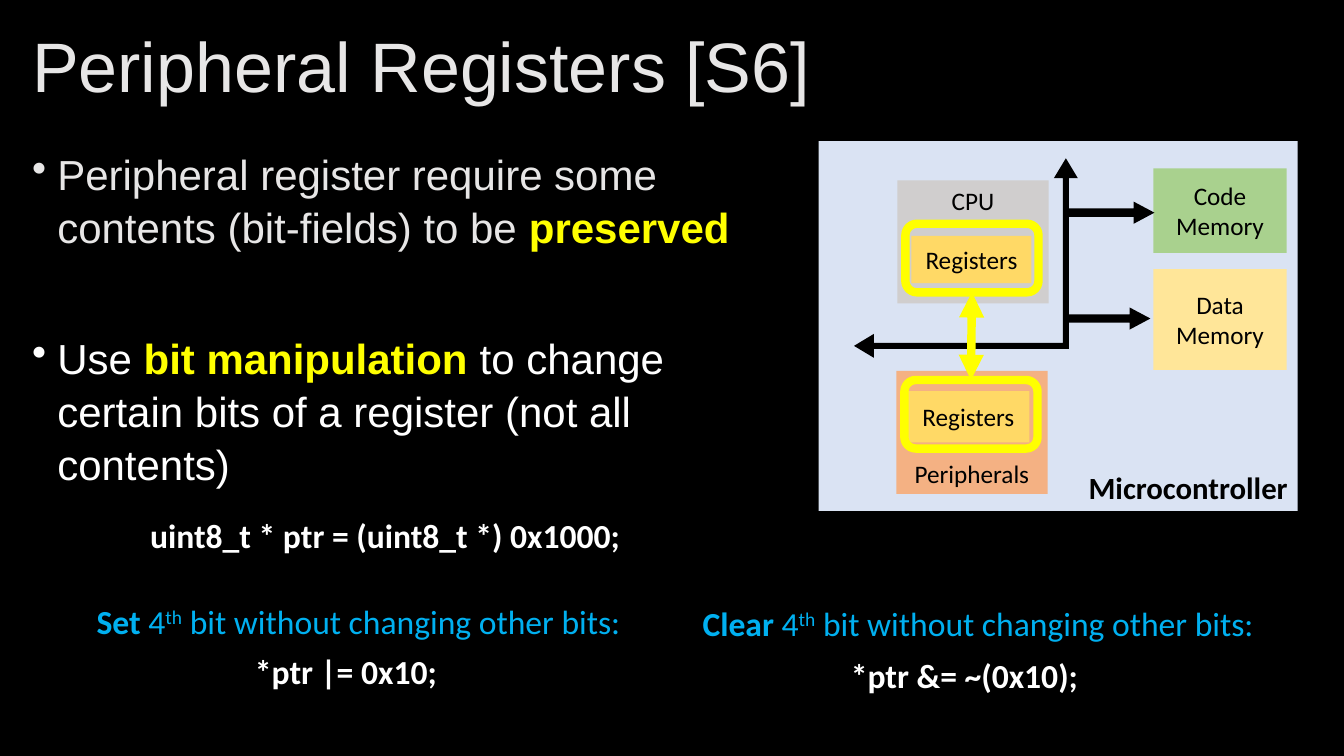
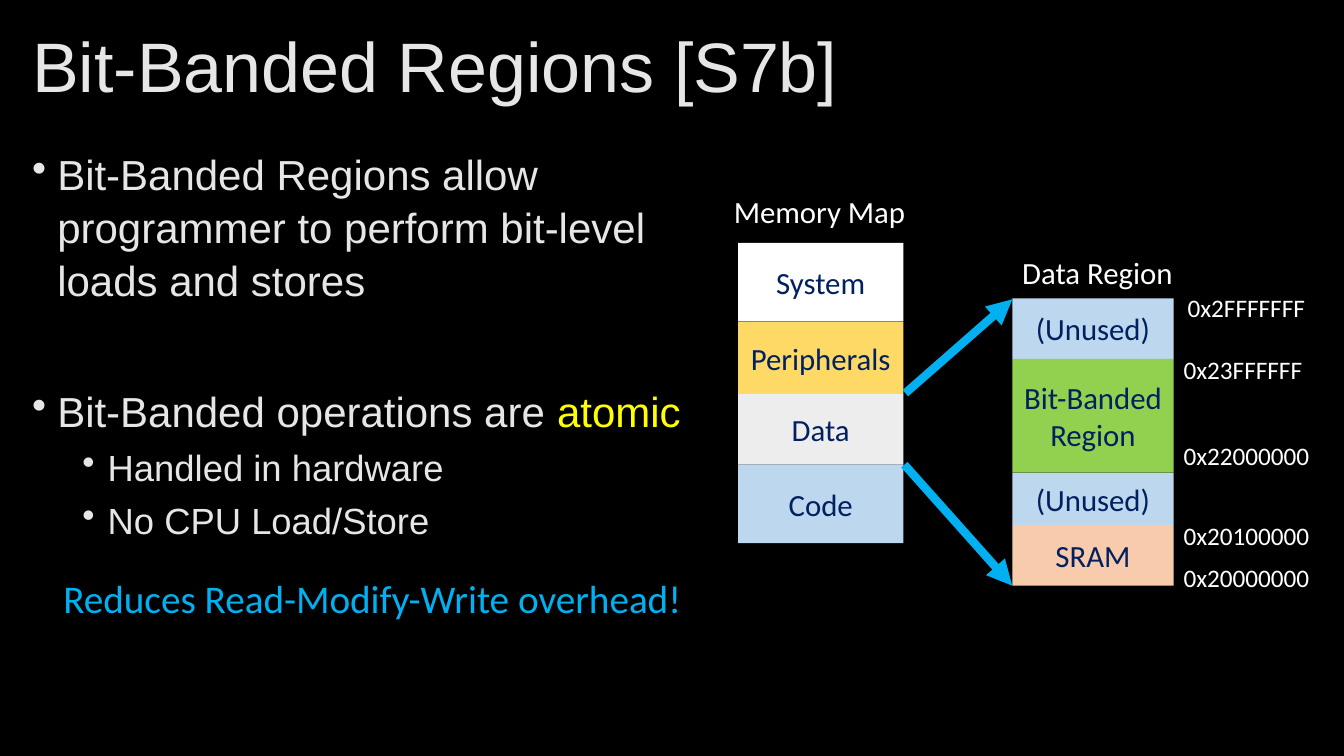
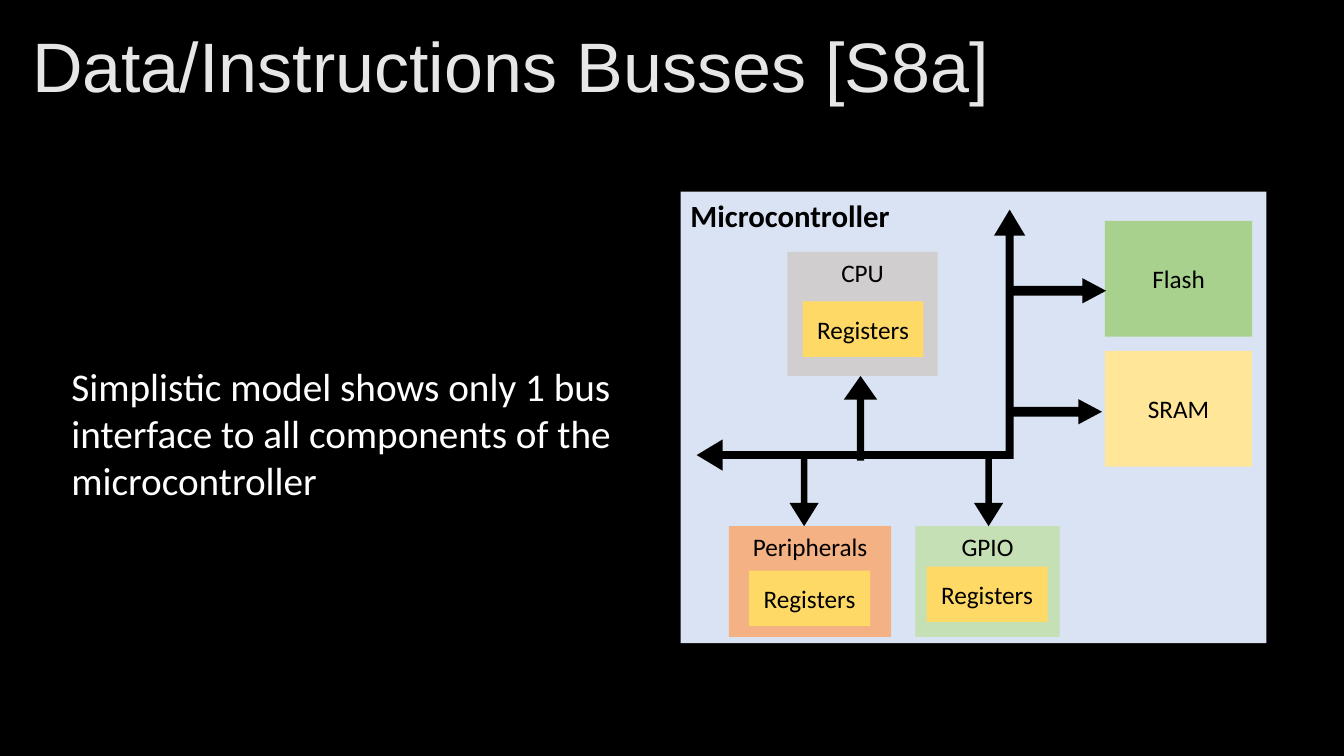
"""Build three slides on registers, bit-banding and microcontroller busses."""
import pptx
import pptx.dml.color
import pptx.enum.shapes
import pptx.enum.text
import pptx.oxml
import pptx.oxml.ns
import pptx.util

Pt = pptx.util.Pt
RGBColor = pptx.dml.color.RGBColor
SHAPE = pptx.enum.shapes.MSO_SHAPE
CONNECTOR = pptx.enum.shapes.MSO_CONNECTOR
TOP, MIDDLE, BOTTOM = (pptx.enum.text.MSO_ANCHOR.TOP, pptx.enum.text.MSO_ANCHOR.MIDDLE,
                       pptx.enum.text.MSO_ANCHOR.BOTTOM)
LEFT, CENTER, RIGHT = (pptx.enum.text.PP_ALIGN.LEFT, pptx.enum.text.PP_ALIGN.CENTER,
                       pptx.enum.text.PP_ALIGN.RIGHT)

BLACK = RGBColor(0x00, 0x00, 0x00)
WHITE = RGBColor(0xFF, 0xFF, 0xFF)
SILVER = RGBColor(0xE7, 0xE6, 0xE6)
YELLOW = RGBColor(0xFF, 0xFF, 0x00)
CYAN = RGBColor(0x00, 0xB0, 0xF0)
NAVY = RGBColor(0x00, 0x20, 0x60)
ICE = RGBColor(0xDA, 0xE3, 0xF3)
SKY = RGBColor(0xBD, 0xD7, 0xEE)
GREEN = RGBColor(0xA9, 0xD1, 0x8E)
LIME = RGBColor(0x92, 0xD0, 0x50)
MINT = RGBColor(0xC5, 0xE0, 0xB4)
GRAY = RGBColor(0xD0, 0xCE, 0xCE)
PALE_GRAY = RGBColor(0xED, 0xED, 0xED)
ORANGE = RGBColor(0xF4, 0xB1, 0x83)
PEACH = RGBColor(0xF8, 0xCB, 0xAD)
SAND = RGBColor(0xFF, 0xE6, 0x99)
GOLD = RGBColor(0xFF, 0xD9, 0x66)

deck = pptx.Presentation()
deck.slide_width = pptx.util.Inches(13.33)
deck.slide_height = pptx.util.Inches(7.5)
COLUMN = deck.slide_width / 13.33
ROW = deck.slide_height / 7.5

TITLE = {"size": Pt(50), "name": "Arial", "color": SILVER}
BODY = {"size": Pt(30), "name": "Arial", "color": SILVER}
DETAIL = {**BODY, "size": Pt(26)}
LABEL = {"size": Pt(18), "name": "Calibri", "color": BLACK}
HEADING = {**LABEL, "size": Pt(22), "bold": True}
REGION = {**LABEL, "size": Pt(22), "color": NAVY}
CAPTION = {**REGION, "color": WHITE}
ADDRESS = {**LABEL, "color": WHITE}
CODE = {**LABEL, "size": Pt(24), "bold": True, "color": WHITE}
TASK = {**LABEL, "size": Pt(24), "color": CYAN}
REMARK = {**LABEL, "size": Pt(28), "color": WHITE}


def add_box(page, area, spans=(), style=LABEL, fill=None, kind=None, anchor=MIDDLE,
            align=CENTER, wrap=True, turn=0, adjust=()):
    left, top, width, height = area
    place = [round(left * COLUMN), round(top * ROW), round(width * COLUMN), round(height * ROW)]
    if kind is None:
        box = page.shapes.add_textbox(*place)
    else:
        box = page.shapes.add_shape(kind, *place)
        box.shadow.inherit = False
        box.line.fill.background()
        box.fill.background()
    if fill is not None:
        box.fill.solid()
        box.fill.fore_color.rgb = fill
    box.rotation = turn
    for index, share in enumerate(adjust):
        box.adjustments[index] = share
    box.text_frame.word_wrap = wrap
    box.text_frame.vertical_anchor = anchor
    if spans:
        add_spans(box.text_frame.paragraphs[0], spans, style, align)
    return box


def add_spans(para, spans, style, align=LEFT):
    para.alignment = align
    for text, changes in [(spans, {})] if isinstance(spans, str) else spans:
        span = para.add_run()
        span.text = text
        for name, value in {**style, **changes}.items():
            if name == "color":
                span.font.color.rgb = value
            elif name == "baseline":
                span.font._element.set(name, value)
            else:
                setattr(span.font, name, value)


deck.slide_master.background.fill.solid()
deck.slide_master.background.fill.fore_color.rgb = BLACK

titles = ["Peripheral Registers [S6]", "Bit-Banded Regions [S7b]", "Data/Instructions Busses [S8a]"]
pages = []
for title in titles:
    page = deck.slides.add_slide(deck.slide_layouts[6])
    heading = add_box(page, (0.22, 0.21, 12.89, 0.97), title, TITLE, align=LEFT)
    heading.text_frame.paragraphs[0].line_spacing = 0.9
    pages.append(page)
registers_page, regions_page, busses_page = pages

bullet_lists = [
    (registers_page, 7.16, 3.41, [
        (BODY, 0.25, 10, [("Peripheral register require some contents (bit-fields) to be ", {}),
                          ("preserved", {"color": YELLOW, "bold": True})]),
        (BODY, 0.25, 56, [("Use ", {"color": WHITE}),
                          ("bit manipulation ", {"color": YELLOW, "bold": True}),
                          ("to change certain bits of a register (not all contents)",
                           {"color": WHITE})])]),
    (regions_page, 7.3, 6.09, [
        (BODY, 0.25, 10, "Bit-Banded Regions allow programmer to perform bit-level loads and stores"),
        (BODY, 0.25, 56, [("Bit-Banded operations are ", {}), ("atomic", {"color": YELLOW})]),
        (DETAIL, 0.75, 5, "Handled in hardware"),
        (DETAIL, 0.75, 5, "No CPU Load/Store")]),
]
for page, width, height, bullets in bullet_lists:
    frame = add_box(page, (0.22, 1.4, width, height), anchor=TOP).text_frame
    for index, (style, indent, gap, spans) in enumerate(bullets):
        para = frame.add_paragraph() if index else frame.paragraphs[0]
        add_spans(para, spans, style)
        para.line_spacing = 1.05
        para.space_before = Pt(gap)
        properties = para._p.get_or_add_pPr()
        properties.set("marL", str(round(indent * COLUMN)))
        properties.set("indent", str(round(-0.25 * COLUMN)))
        mark = pptx.oxml.parse_xml(f'<a:buChar {pptx.oxml.ns.nsdecls("a")} char="•"/>')
        properties.append(mark)

BUS, BRANCH = (0.03, 0.06, 0.1), (0.38, 0.94)
DROP = (0.22, 0.8)
diagrams = [
    (registers_page, (8.12, 1.4, 4.75, 3.67), BOTTOM, RIGHT, [
        ((11.44, 1.67, 1.32, 0.84), "Code Memory", GREEN, MIDDLE),
        ((8.9, 1.79, 1.5, 1.22), "CPU", GRAY, TOP),
        ((8.89, 3.68, 1.5, 1.22), "Peripherals", ORANGE, BOTTOM),
        ((11.44, 2.67, 1.32, 1), "Data Memory", SAND, MIDDLE),
        ((9.04, 2.34, 1.19, 0.47), "Registers", GOLD, MIDDLE),
        ((9, 3.88, 1.21, 0.51), "Registers", GOLD, MIDDLE),
    ], [
        (SHAPE.LEFT_UP_ARROW, (8.47, 1.57, 2.22, 1.98), 0, BUS),
        (SHAPE.UP_ARROW, (10.91, 1.68, 0.22, 0.86), 90, BRANCH),
        (SHAPE.UP_ARROW, (10.87, 2.73, 0.22, 0.86), 90, BRANCH),
    ]),
    (busses_page, (6.75, 1.9, 5.81, 4.48), TOP, LEFT, [
        ((9.08, 5.22, 1.43, 1.1), "GPIO", MINT, TOP),
        ((10.96, 2.19, 1.46, 1.15), "Flash", GREEN, MIDDLE),
        ((7.81, 2.5, 1.49, 1.23), "CPU", GRAY, TOP),
        ((7.23, 5.22, 1.61, 1.1), "Peripherals", ORANGE, TOP),
        ((10.96, 3.48, 1.46, 1.15), "SRAM", SAND, MIDDLE),
        ((9.19, 5.62, 1.2, 0.55), "Registers", GOLD, MIDDLE),
        ((7.96, 2.99, 1.2, 0.55), "Registers", GOLD, MIDDLE),
        ((7.43, 5.66, 1.2, 0.55), "Registers", GOLD, MIDDLE),
    ], [
        (SHAPE.LEFT_UP_ARROW, (6.91, 2.08, 3.26, 2.59), 0, BUS),
        (SHAPE.UP_ARROW, (8.37, 3.73, 0.33, 0.84), 0, (0.22, 0.71)),
        (SHAPE.UP_ARROW, (9.66, 4.55, 0.29, 0.67), 180, DROP),
        (SHAPE.UP_ARROW, (7.83, 4.55, 0.29, 0.67), 180, DROP),
        (SHAPE.UP_ARROW, (10.37, 2.41, 0.25, 0.95), 90, BRANCH),
        (SHAPE.UP_ARROW, (10.33, 3.61, 0.25, 0.95), 90, BRANCH),
    ]),
]
for page, area, anchor, align, parts, arrows in diagrams:
    add_box(page, area, "Microcontroller", HEADING, ICE, SHAPE.RECTANGLE, anchor, align)
    for part_area, text, fill, part_anchor in parts:
        add_box(page, part_area, text, LABEL, fill, SHAPE.RECTANGLE, part_anchor)
    for kind, arrow_area, turn, adjust in arrows:
        add_box(page, arrow_area, fill=BLACK, kind=kind, turn=turn, adjust=adjust)

rings = []
for left, top in [(8.98, 2.22), (8.97, 3.77)]:
    ring = add_box(registers_page, (left, top, 1.32, 0.68), kind=SHAPE.ROUNDED_RECTANGLE)
    ring.line.color.rgb = YELLOW
    ring.line.width = Pt(6)
    rings.append(ring)

stacks = [
    (7.32, 2.41, 1.64, [("System", 0.78, WHITE), ("Peripherals", 0.72, GOLD),
                        ("Data", 0.7, PALE_GRAY), ("Code", 0.78, SKY)]),
    (10.04, 2.96, 1.6, [("(Unused)", 0.6, SKY), ("Bit-Banded Region", 1.13, LIME),
                        ("(Unused)", 0.52, SKY), ("SRAM", 0.6, PEACH)]),
]
for left, top, width, regions in stacks:
    for text, height, fill in regions:
        add_box(regions_page, (left, top, width, height), text, REGION, fill, SHAPE.RECTANGLE)
        top += height

fourth_bit = [("4", {}), ("th", {"baseline": "30000"}), (" bit without changing other bits:", {})]
notes = [
    (registers_page, (1.39, 5.06, 4.91, 0.5), "uint8_t * ptr = (uint8_t *) 0x1000;", CODE),
    (registers_page, (0.86, 5.91, 5.44, 0.5), [("Set ", {"bold": True}), *fourth_bit], TASK),
    (registers_page, (2.43, 6.41, 2.02, 0.5), "*ptr |= 0x10;", CODE),
    (registers_page, (6.87, 5.93, 5.73, 0.5), [("Clear ", {"bold": True}), *fourth_bit], TASK),
    (registers_page, (8.34, 6.45, 2.48, 0.5), "*ptr &= ~(0x10);", CODE),
    (regions_page, (7.18, 1.86, 1.92, 0.47), "Memory Map", CAPTION),
    (regions_page, (10.04, 2.47, 1.71, 0.47), "Data Region", CAPTION),
    (regions_page, (0.53, 5.65, 6.41, 0.57), "Reduces Read-Modify-Write overhead!",
     {**REMARK, "color": CYAN}),
    (regions_page, (11.68, 2.85, 1.38, 0.4), "0x2FFFFFFF", ADDRESS),
    (regions_page, (11.64, 3.47, 1.39, 0.4), "0x23FFFFFF", ADDRESS),
    (regions_page, (11.64, 4.32, 1.46, 0.4), "0x22000000", ADDRESS),
    (regions_page, (11.64, 5.11, 1.46, 0.4), "0x20100000", ADDRESS),
    (regions_page, (11.64, 5.53, 1.46, 0.4), "0x20000000", ADDRESS),
]
for page, area, spans, style in notes:
    add_box(page, area, spans, style, anchor=TOP, align=LEFT, wrap=False)
add_box(busses_page, (0.61, 3.54, 6.01, 1.51),
        "Simplistic model shows only 1 bus interface to all components of the microcontroller",
        REMARK, anchor=TOP, align=LEFT)

links = [
    (registers_page, (9.64, 2.9, 9.63, 3.77), YELLOW, ["headEnd", "tailEnd"], rings),
    (regions_page, (8.98, 3.9, 10.04, 2.97), CYAN, ["tailEnd"], None),
    (regions_page, (8.97, 4.61, 10.04, 5.81), CYAN, ["tailEnd"], None),
]
for page, (left, top, right, bottom), color, heads, joined in links:
    link = page.shapes.add_connector(CONNECTOR.STRAIGHT, round(left * COLUMN), round(top * ROW),
                                     round(right * COLUMN), round(bottom * ROW))
    if joined:
        link.begin_connect(joined[0], 2)
        link.end_connect(joined[1], 0)
    link.line.color.rgb = color
    link.line.width = Pt(6)
    for head in heads:
        tip = f'<a:{head} {pptx.oxml.ns.nsdecls("a")} type="triangle"/>'
        link.line._get_or_add_ln().append(pptx.oxml.parse_xml(tip))
    effects = pptx.oxml.parse_xml(f'<a:effectLst {pptx.oxml.ns.nsdecls("a")}/>')
    link._element.spPr.append(effects)

deck.save("out.pptx")
